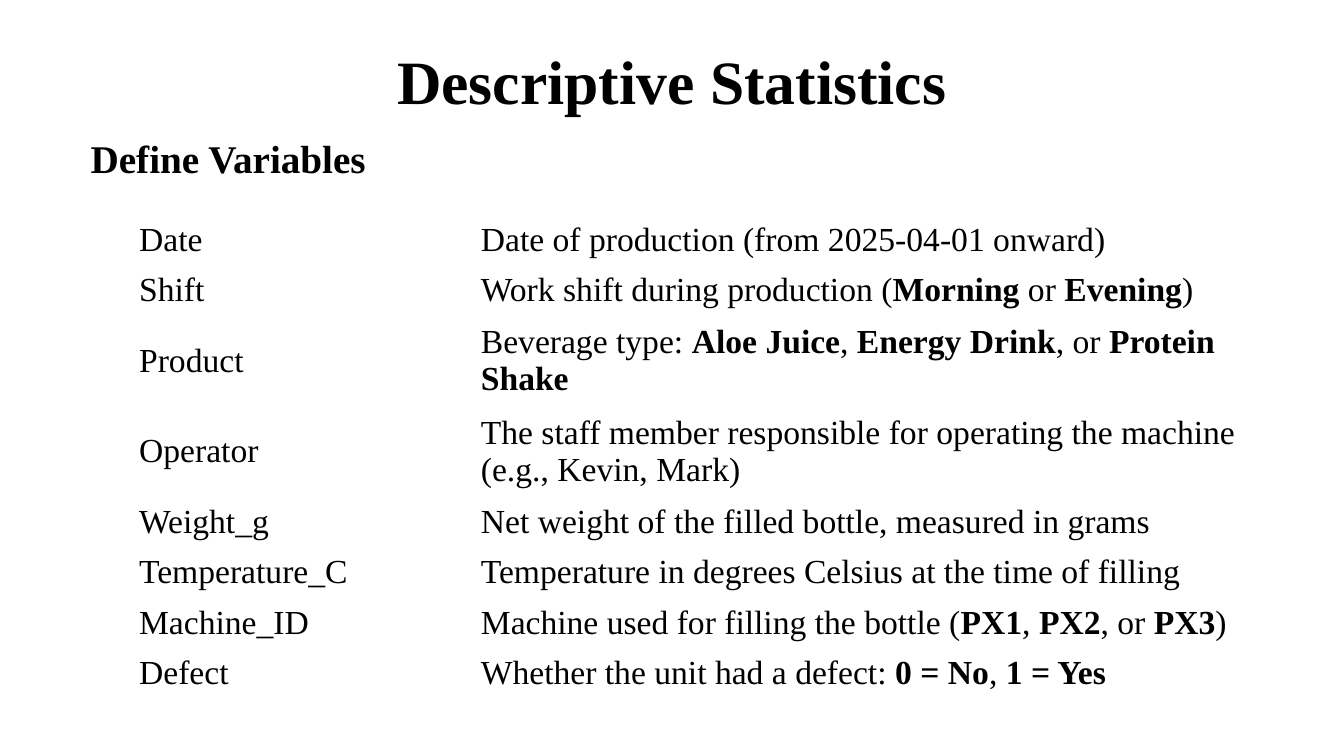
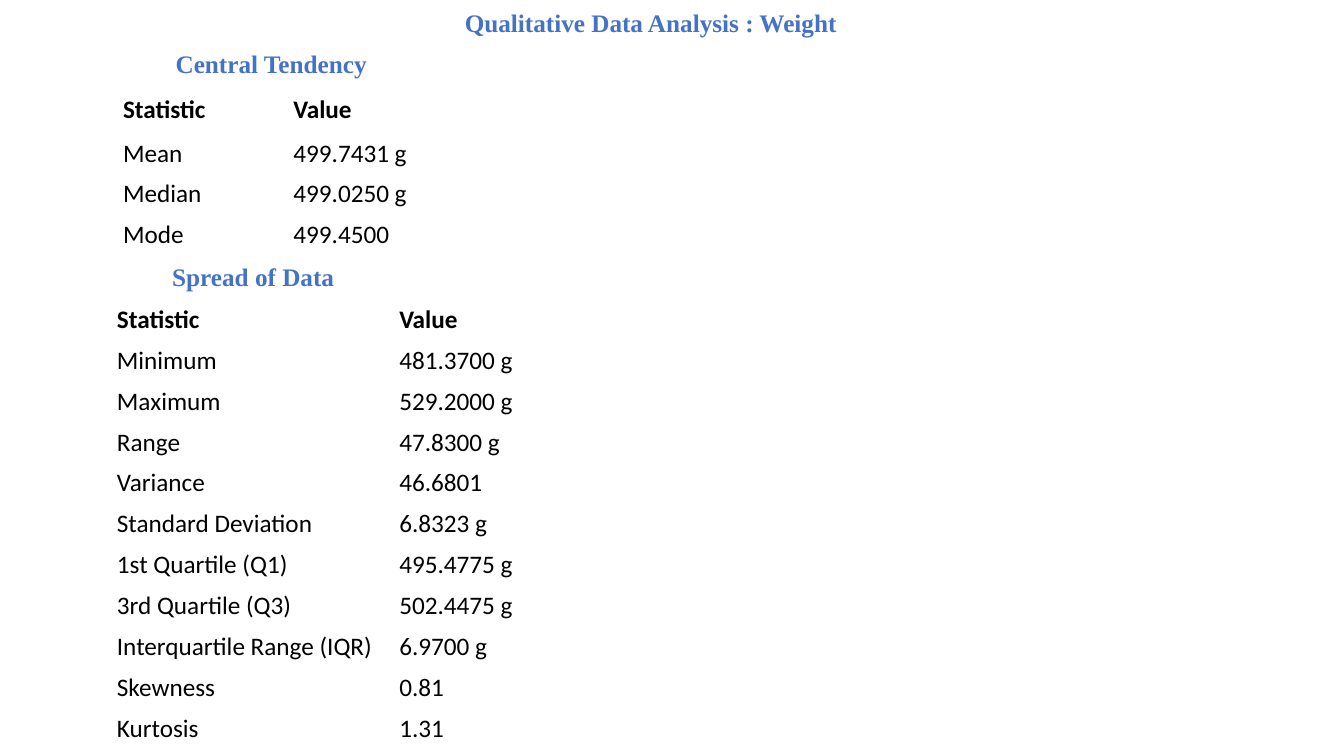
"""Build two slides of descriptive statistics on a bottling line."""
from pptx import Presentation
from pptx.dml.color import RGBColor
from pptx.enum.text import MSO_AUTO_SIZE as AutoSize, MSO_VERTICAL_ANCHOR as Anchor, PP_ALIGN as Align
from pptx.oxml.ns import qn
from pptx.util import Inches, Pt

BLACK, BLUE = "000000", "4472C4"
SERIF, SANS = "Times New Roman", "Calibri"
TITLE_ONLY = 5
PLAIN_TABLE = "{2D5ABB26-0587-4C30-8999-92F81FD0307C}"

VARIABLES = [
    ("Date", "Date of production (from 2025-04-01 onward)"),
    ("Shift", "Work shift during production (**Morning** or **Evening**)"),
    ("Product", "Beverage type: **Aloe Juice**, **Energy Drink**, or **Protein Shake**"),
    ("Operator", "The staff member responsible for operating the machine (e.g., Kevin, Mark)"),
    ("Weight_g", "Net weight of the filled bottle, measured in grams"),
    ("Temperature_C", "Temperature in degrees Celsius at the time of filling"),
    ("Machine_ID", "Machine used for filling the bottle (**PX1**, **PX2**, or **PX3**)"),
    ("Defect", "Whether the unit had a defect: **0 = No**, **1 = Yes**"),
]
HEADER = ("**Statistic**", "**Value**")
CENTRAL_TENDENCY = [
    HEADER,
    ("Mean", "499.7431 g"),
    ("Median", "499.0250 g"),
    ("Mode", "499.4500"),
]
SPREAD = [
    HEADER,
    ("Minimum", "481.3700 g"),
    ("Maximum", "529.2000 g"),
    ("Range", "47.8300 g"),
    ("Variance", "46.6801"),
    ("Standard Deviation", "6.8323 g"),
    ("1st Quartile (Q1)", "495.4775 g"),
    ("3rd Quartile (Q3)", "502.4475 g"),
    ("Interquartile Range (IQR)", "6.9700 g"),
    ("Skewness", "0.81"),
    ("Kurtosis", "1.31"),
]


def color(value):
    """Turn a hex string into a colour."""
    return RGBColor.from_string(value)


def write(text_frame, text, size=18, font=SERIF, fill=BLACK, bold=False, align=Align.LEFT):
    """Write one paragraph, with parts between double asterisks in bold."""
    paragraph = text_frame.paragraphs[0]
    paragraph.alignment = align
    for index, part in enumerate(text.split("**")):
        if part:
            run = paragraph.add_run()
            run.text = part
            run.font.size = Pt(size)
            run.font.name = font
            run.font.bold = bold or index % 2 == 1
            run.font.color.rgb = color(fill)


class Deck:
    """Hold the presentation, its style and the current slide."""

    def __init__(self):
        """Start a widescreen presentation."""
        self.presentation = Presentation()
        self.presentation.slide_width = Inches(13.33)
        self.presentation.slide_height = Inches(7.5)
        self.slide = None

    def add_slide(self, title, box, **style):
        """Add a slide with its title placed in the box."""
        layout = self.presentation.slide_layouts[TITLE_ONLY]
        self.slide = self.presentation.slides.add_slide(layout)
        self.fill_box(self.slide.shapes.title, title, box, **style)

    def add_heading(self, text, box, **style):
        """Add a section heading."""
        shape = self.slide.shapes.add_textbox(*map(Inches, box))
        self.fill_box(shape, text, box, **style)

    def fill_box(self, shape, text, box, **style):
        """Place a shape and write its bold text from the top."""
        shape.left, shape.top, shape.width, shape.height = map(Inches, box)
        frame = shape.text_frame
        frame.word_wrap = True
        frame.auto_size = AutoSize.NONE
        frame.vertical_anchor = Anchor.TOP
        write(frame, text, bold=True, **style)

    def add_table(self, rows, left, top, widths, heights, **style):
        """Add a table without fills or lines."""
        shape = self.slide.shapes.add_table(
            len(rows), len(widths), Inches(left), Inches(top),
            Inches(sum(widths)), Inches(sum(heights)))
        table = shape.table
        table.first_row = table.horz_banding = False
        for style_id in shape.element.iter(qn("a:tableStyleId")):
            style_id.text = PLAIN_TABLE
        for column, width in zip(table.columns, widths):
            column.width = Inches(width)
        for row, height, texts in zip(table.rows, heights, rows):
            row.height = Inches(height)
            for cell, text in zip(row.cells, texts):
                cell.fill.background()
                cell.vertical_anchor = Anchor.MIDDLE
                write(cell.text_frame, text, **style)


def main():
    """Build and save both slides."""
    deck = Deck()

    deck.add_slide("Descriptive Statistics", (2.23, 0.38, 8.87, 0.84), size=44, align=Align.CENTER)
    deck.add_heading("Define Variables", (0.8, 1.28, 3.31, 0.57), size=28)
    two_line = ("Product", "Operator")
    heights = [0.9 if name in two_line else 0.5 for name, _ in VARIABLES]
    deck.add_table(VARIABLES, 1.28, 2.13, (3.39, 8.18), heights, size=24)

    deck.add_slide("Qualitative Data Analysis : Weight", (4.51, 0.02, 3.99, 0.4), fill=BLUE)
    deck.add_heading("Central Tendency", (1.52, 0.43, 2.34, 0.4), fill=BLUE, align=Align.CENTER)
    deck.add_table(CENTRAL_TENDENCY, 1.12, 0.86, (1.69, 1.69), [0.46] + [0.4] * 3, font=SANS)
    deck.add_heading("Spread of Data", (1.61, 2.54, 1.93, 0.4), fill=BLUE)
    deck.add_table(SPREAD, 1.06, 2.97, (2.8, 2.8), [0.4] * len(SPREAD), font=SANS)

    deck.presentation.save("out.pptx")


if __name__ == "__main__":
    main()
